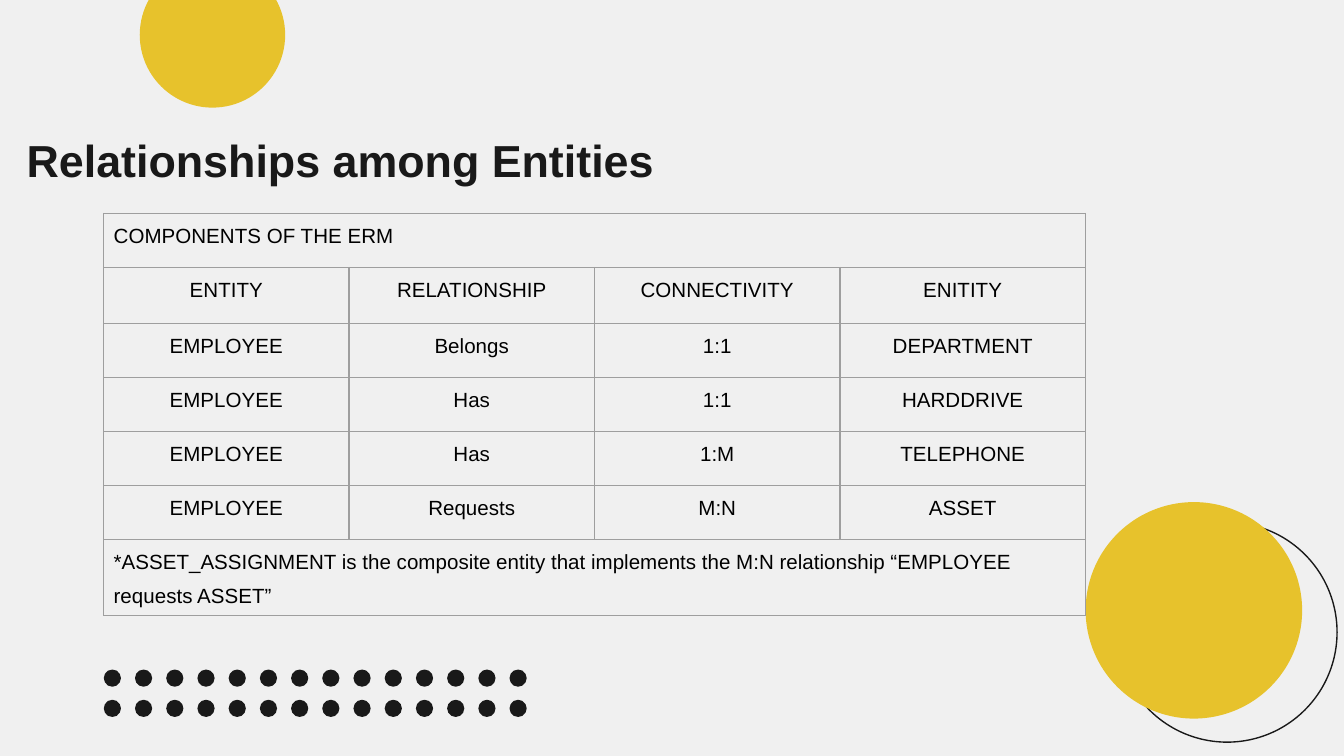
from dataclasses import dataclass
from itertools import product

from lxml.etree import SubElement
from pptx import Presentation
from pptx.dml.color import RGBColor
from pptx.enum.shapes import MSO_SHAPE as Preset
from pptx.enum.text import MSO_ANCHOR as Anchor, PP_ALIGN as Align
from pptx.oxml.ns import qn
from pptx.slide import Slide
from pptx.table import _Cell as Cell
from pptx.text.text import _Paragraph as Paragraph
from pptx.util import Pt

FONT = "Arial"
INK = "191919"
YELLOW = "E7C22C"
BORDER = "9E9E9E"
BACKGROUND = "F0F0F0"

DOT_COLUMNS, DOT_ROWS = 14, 2
DOT_LEFT, DOT_TOP, DOT_SIZE = 55.6, 358.7, 9.2
DOT_STEP_X, DOT_STEP_Y = 16.72, 16.2

TABLE_LEFT, TABLE_TOP, COLUMN_WIDTH = 55.5, 114.4, 131.5
ROW_HEIGHTS = [28.9, 30, 28.9, 28.9, 28.9, 28.9, 40.9]
# A row with a single entry spans the whole table.
ROWS = [
    ["COMPONENTS OF THE ERM"],
    ["ENTITY", "RELATIONSHIP", "CONNECTIVITY", "ENITITY"],
    ["EMPLOYEE", "Belongs", "1:1", "DEPARTMENT"],
    ["EMPLOYEE", "Has", "1:1", "HARDDRIVE"],
    ["EMPLOYEE", "Has", "1:M", "TELEPHONE"],
    ["EMPLOYEE", "Requests", "M:N", "ASSET"],
    ["*ASSET_ASSIGNMENT is the composite entity that implements the M:N "
     "relationship “EMPLOYEE requests ASSET”"],
]


@dataclass
class Circle:
    left: float
    top: float
    size: float
    fill: str | None = None
    line: str | None = None


RING = Circle(598.5, 279.8, 117.8, line=INK)
BIG_DISC = Circle(581.6, 269, 116, fill=YELLOW)
TOP_DISC = Circle(74.9, -20.2, 77.9, fill=YELLOW)
DOTS = [
    Circle(DOT_LEFT + column * DOT_STEP_X, DOT_TOP + row * DOT_STEP_Y, DOT_SIZE, fill=INK)
    for column, row in product(range(DOT_COLUMNS), range(DOT_ROWS))
]


def color(value: str) -> RGBColor:
    return RGBColor.from_string(value)


def draw_circle(page: Slide, circle: Circle) -> None:
    shape = page.shapes.add_shape(
        Preset.OVAL, Pt(circle.left), Pt(circle.top), Pt(circle.size), Pt(circle.size))
    shape.shadow.inherit = False
    if circle.fill:
        shape.fill.solid()
        shape.fill.fore_color.rgb = color(circle.fill)
    else:
        shape.fill.background()
    if circle.line:
        shape.line.color.rgb = color(circle.line)
        shape.line.width = Pt(0.75)
    else:
        shape.line.fill.background()


def set_font(paragraph: Paragraph, size: float, ink: str, bold: bool = False) -> None:
    font = paragraph.font
    font.name, font.size, font.bold = FONT, Pt(size), bold
    font.color.rgb = color(ink)


def draw_title(page: Slide, text: str) -> None:
    box = page.shapes.add_textbox(Pt(7.2), Pt(61.2), Pt(458.6), Pt(36.7))
    frame = box.text_frame
    frame.word_wrap = True
    frame.vertical_anchor = Anchor.TOP
    frame.margin_left = frame.margin_right = frame.margin_bottom = Pt(7.2)
    frame.margin_top = Pt(9.7)
    paragraph = frame.paragraphs[0]
    paragraph.text = text
    set_font(paragraph, 24, INK, bold=True)


def style_cell(cell: Cell) -> None:
    """Give the cell its margins, four thin borders and no fill."""
    cell.margin_left = cell.margin_right = Pt(5.4)
    cell.margin_top = cell.margin_bottom = Pt(0)
    properties = cell._tc.get_or_add_tcPr()
    for side in ("a:lnL", "a:lnR", "a:lnT", "a:lnB"):
        line = SubElement(properties, qn(side), w=str(Pt(0.75)))
        solid = SubElement(line, qn("a:solidFill"))
        SubElement(solid, qn("a:srgbClr"), val=BORDER)
    cell.fill.background()


def draw_table(page: Slide, rows: list[list[str]]) -> None:
    columns = max(map(len, rows))
    table = page.shapes.add_table(
        len(rows), columns, Pt(TABLE_LEFT), Pt(TABLE_TOP),
        Pt(columns * COLUMN_WIDTH), Pt(sum(ROW_HEIGHTS))).table
    table.first_row = table.horz_banding = False
    for column in table.columns:
        column.width = Pt(COLUMN_WIDTH)
    for cell in table.iter_cells():
        style_cell(cell)
    for index, (texts, height) in enumerate(zip(rows, ROW_HEIGHTS)):
        table.rows[index].height = Pt(height)
        spans_table = len(texts) == 1
        if spans_table:
            table.cell(index, 0).merge(table.cell(index, columns - 1))
        for position, text in enumerate(texts):
            paragraph = table.cell(index, position).text_frame.paragraphs[0]
            paragraph.text = text
            paragraph.line_spacing = 1.5
            paragraph.alignment = Align.LEFT if spans_table else Align.CENTER
            set_font(paragraph, 11, "000000")


def main() -> None:
    deck = Presentation()
    deck.slide_width, deck.slide_height = Pt(720), Pt(405)
    page = deck.slides.add_slide(deck.slide_layouts[6])
    page.background.fill.solid()
    page.background.fill.fore_color.rgb = color(BACKGROUND)
    for circle in [RING, BIG_DISC, *DOTS]:
        draw_circle(page, circle)
    draw_title(page, "Relationships among Entities")
    draw_circle(page, TOP_DISC)
    draw_table(page, ROWS)
    deck.save("out.pptx")


if __name__ == "__main__":
    main()
